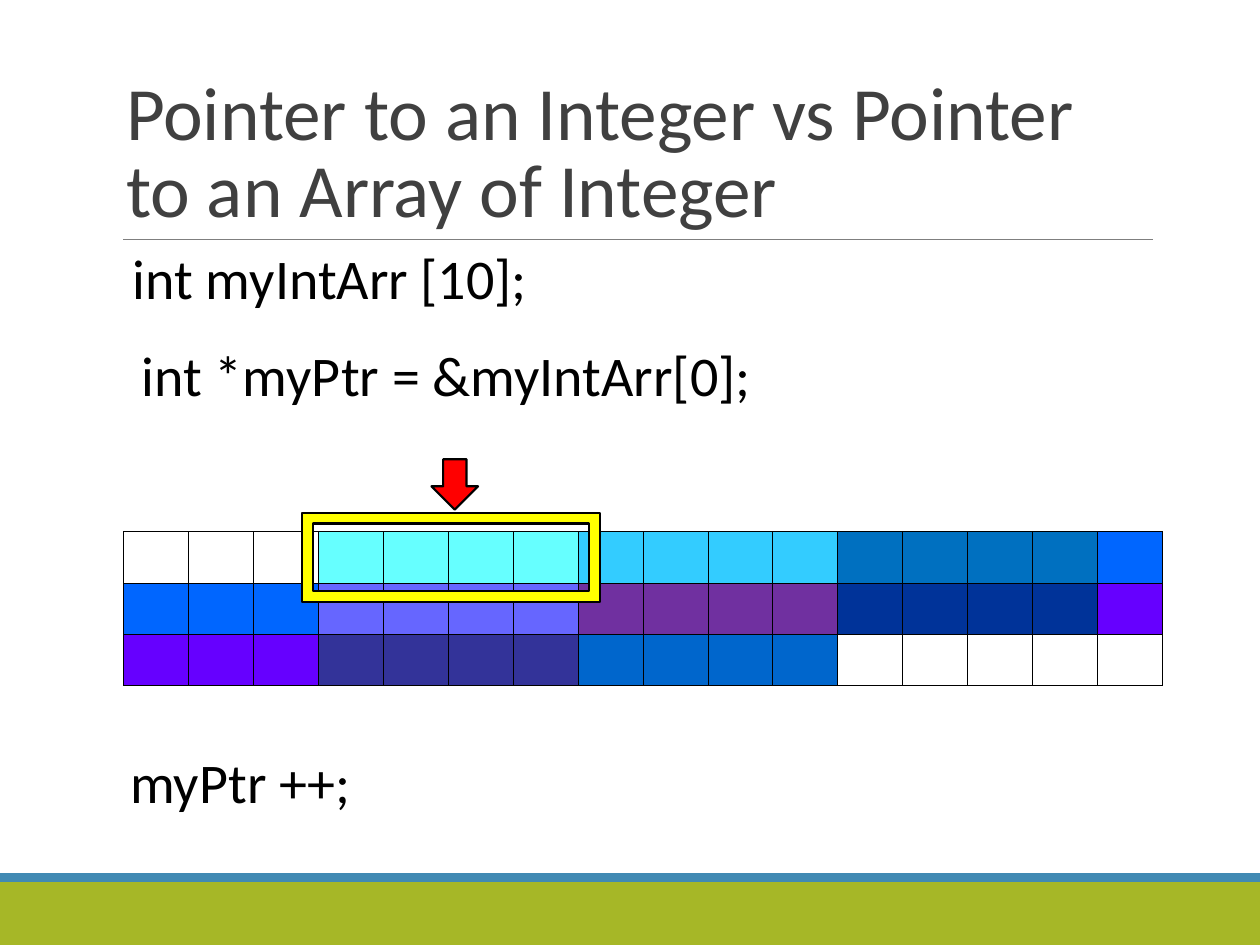
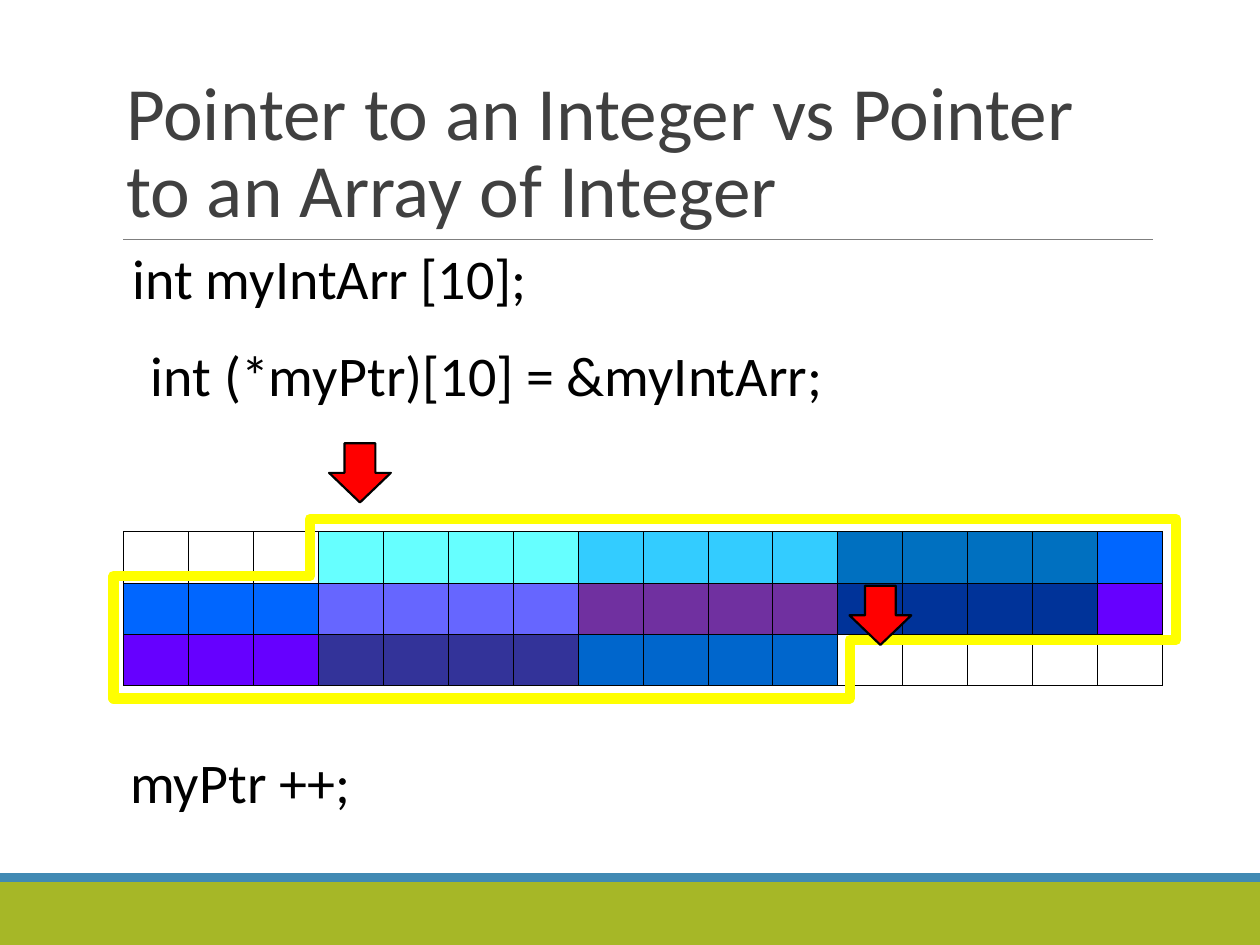
"""Build two slides comparing a pointer to an int with a pointer to an int array."""
import lxml.etree
import pptx
import pptx.dml.color
import pptx.enum.shapes
import pptx.enum.text
import pptx.oxml
import pptx.oxml.ns
import pptx.util

TITLE = "Pointer to an Integer vs Pointer to an Array of Integer"
FONT = "Calibri"
BLACK, RED, YELLOW, GRAY = "000000", "FF0000", "FFFF00", "7F7F7F"
TITLE_COLOR, GREEN, BLUE = "404040", "A6B727", "418AB3"

COLUMNS, ROWS = 16, 3
LEFT, TOP, WIDTH, HEIGHT = 0.98, 4.22, 8.25, 1.22
COLUMN, ROW = WIDTH / COLUMNS, HEIGHT / ROWS
BYTES_BEFORE, BYTES_PER_INT = 3, 4
INT_COLORS = ["66FFFF", "33CCFF", "0070C0", "0066FF", "6666FF",
              "7030A0", "003399", "6600FF", "333399", "0066CC"]

DECLARATION = ("int myIntArr [10];", 0.73, 1.88, 3.78)
INCREMENT = ("myPtr ++;", 0.81, 5.88, 2.2)
INT_FRAME = (2.75, -0.37, 4.58, 1.74)
ARRAY_OUTLINE = [(2.87, -0.25), (2.87, 0.86), (-0.15, 0.86), (-0.15, 3.25),
                 (11.18, 3.25), (11.18, 2.11), (16.2, 2.11), (16.2, -0.25)]
SLIDES = [
    {"pointer": ("int *myPtr = &myIntArr[0];", 0.68, 2.65, 5.73),
     "frame": INT_FRAME, "outline": None,
     "arrow_size": (0.37, 0.4), "arrow_tips": [(5.1, -0.43)]},
    {"pointer": ("int (*myPtr)[10] = &myIntArr;", 0.74, 2.65, 6.25),
     "frame": None, "outline": ARRAY_OUTLINE,
     "arrow_size": (0.49, 0.47), "arrow_tips": [(3.64, -0.57), (11.65, 2.21)]},
]

SHAPE = pptx.enum.shapes.MSO_SHAPE
inches = pptx.util.Inches


def color(value):
    return pptx.dml.color.RGBColor.from_string(value)


def grid_point(column, row):
    return LEFT + column * COLUMN, TOP + row * ROW


def set_line(line, line_color, width):
    line.color.rgb = color(line_color)
    line.width = pptx.util.Pt(width)


def add_filled(slide, kind, left, top, width, height, fill, outlined=True):
    shape = slide.shapes.add_shape(kind, *map(inches, (left, top, width, height)))
    shape.shadow.inherit = False
    shape.fill.solid()
    shape.fill.fore_color.rgb = color(fill)
    if outlined:
        set_line(shape.line, BLACK, 1.25)
    else:
        shape.line.fill.background()
    return shape


def set_font(paragraph, size, font_color):
    paragraph.font.name = FONT
    paragraph.font.size = pptx.util.Pt(size)
    paragraph.font.color.rgb = color(font_color)


def prepare_layout(presentation):
    layout = presentation.slide_layouts[5]
    for placeholder in list(layout.placeholders)[1:]:
        layout.shapes.element.remove(placeholder.element)
    title = layout.placeholders[0]
    title.left, title.top, title.width, title.height = map(inches, (0.9, 0.31, 8.25, 1.59))
    return layout


def move_decoration_to_layout(slide):
    footer = add_filled(slide, SHAPE.RECTANGLE, 0, 7, 10, 0.5, GREEN, False)
    stripe = add_filled(slide, SHAPE.RECTANGLE, 0, 6.93, 10, 0.07, BLUE, False)
    rule = slide.shapes.add_connector(
        pptx.enum.shapes.MSO_CONNECTOR.STRAIGHT, *map(inches, (0.98, 1.9, 9.15, 1.9)))
    set_line(rule.line, GRAY, 0.5)
    lxml.etree.SubElement(rule.element.spPr, pptx.oxml.ns.qn("a:effectLst"))
    for shape in (footer, stripe, rule):
        slide.slide_layout.shapes.element.append(shape.element)


def add_title(slide):
    frame = slide.shapes.title.text_frame
    frame.text = TITLE
    frame.word_wrap = True
    frame.auto_size = pptx.enum.text.MSO_AUTO_SIZE.NONE
    frame.vertical_anchor = pptx.enum.text.MSO_ANCHOR.BOTTOM
    paragraph = frame.paragraphs[0]
    paragraph.alignment = pptx.enum.text.PP_ALIGN.LEFT
    paragraph.line_spacing = 0.85
    set_font(paragraph, 43, TITLE_COLOR)


def add_code(slide, text, left, top, width):
    box = slide.shapes.add_textbox(*map(inches, (left, top, width, 0.64)))
    frame = box.text_frame
    frame.word_wrap = False
    frame.text = text
    paragraph = frame.paragraphs[0]
    paragraph.alignment = pptx.enum.text.PP_ALIGN.CENTER
    set_font(paragraph, 32, BLACK)


def add_borders(cell):
    properties = cell._tc.get_or_add_tcPr()
    for index, side in enumerate(("lnL", "lnR", "lnT", "lnB")):
        properties.insert(index, pptx.oxml.parse_xml(
            f'<a:{side} {pptx.oxml.ns.nsdecls("a")} w="5715"><a:solidFill>'
            f'<a:srgbClr val="{BLACK}"/></a:solidFill></a:{side}>'))


def add_memory(slide):
    table = slide.shapes.add_table(
        ROWS, COLUMNS, *map(inches, (LEFT, TOP, WIDTH, HEIGHT))).table
    table.first_row = table.horz_banding = False
    for byte, cell in enumerate(table.iter_cells()):
        number = (byte - BYTES_BEFORE) // BYTES_PER_INT
        if 0 <= number < len(INT_COLORS):
            cell.fill.solid()
            cell.fill.fore_color.rgb = color(INT_COLORS[number])
        else:
            cell.fill.background()
        add_borders(cell)


def add_frame(slide, column, row, columns, rows):
    frame = add_filled(slide, SHAPE.FRAME, *grid_point(column, row),
                       columns * COLUMN, rows * ROW, YELLOW)
    frame.adjustments[0] = 0.12


def add_outline(slide, corners):
    points = [tuple(map(inches, grid_point(*corner))) for corner in corners]
    builder = slide.shapes.build_freeform(*points[0])
    builder.add_line_segments(points[1:], close=True)
    outline = builder.convert_to_shape()
    outline.shadow.inherit = False
    outline.fill.background()
    set_line(outline.line, YELLOW, 6)
    lxml.etree.SubElement(outline.element.spPr.find(pptx.oxml.ns.qn("a:ln")),
                          pptx.oxml.ns.qn("a:round"))


def add_arrow(slide, tip, size):
    x, y = grid_point(*tip)
    width, height = size
    add_filled(slide, SHAPE.DOWN_ARROW, x - width / 2, y - height, width, height, RED)


def main():
    presentation = pptx.Presentation()
    presentation.slide_width, presentation.slide_height = inches(10), inches(7.5)
    layout = prepare_layout(presentation)
    for index, content in enumerate(SLIDES):
        slide = presentation.slides.add_slide(layout)
        if index == 0:
            move_decoration_to_layout(slide)
        add_title(slide)
        add_memory(slide)
        for code in (DECLARATION, content["pointer"], INCREMENT):
            add_code(slide, *code)
        if content["frame"]:
            add_frame(slide, *content["frame"])
        if content["outline"]:
            add_outline(slide, content["outline"])
        for tip in content["arrow_tips"]:
            add_arrow(slide, tip, content["arrow_size"])
    presentation.save("out.pptx")


if __name__ == "__main__":
    main()
